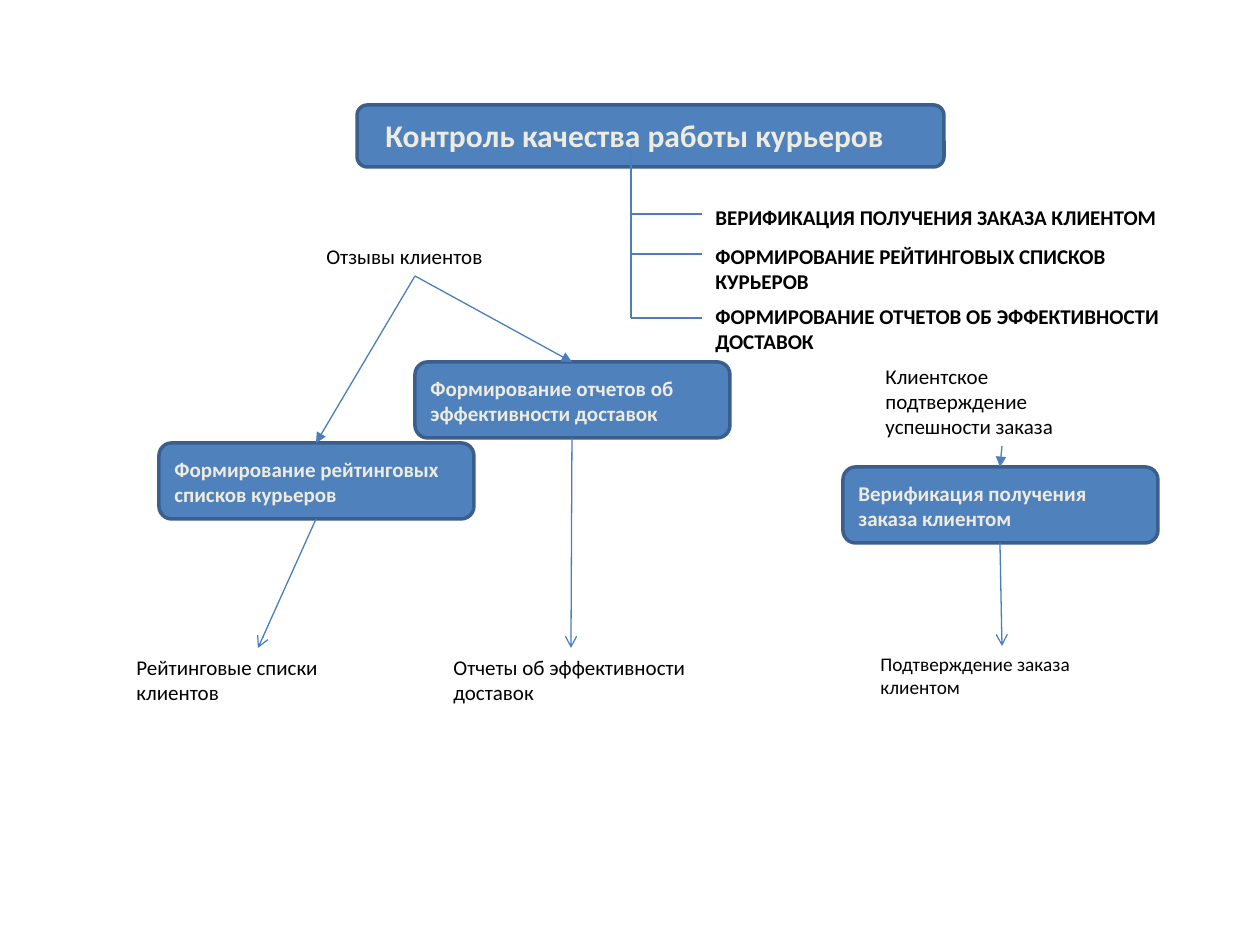
from lxml.etree import SubElement
from pptx import Presentation
from pptx.dml.color import RGBColor
from pptx.enum.shapes import MSO_CONNECTOR as CONN, MSO_SHAPE as SHAPE
from pptx.oxml.ns import qn
from pptx.util import Emu, Pt

SCALE = 914400 / 126
FILL, EDGE, LINE, LIGHT, DARK = "4F81BD", "3A5F8C", "4B7EBC", "EEECE1", "000000"


def px(*values):
    """Turn pixels into EMU."""
    return [Emu(round(v * SCALE)) for v in values]


def color(value):
    """Turn a hex string into a colour."""
    return RGBColor.from_string(value)


def add_label(s, box, text, size=12, bold=False, ink=DARK):
    """Place a wrapped line of text in a box."""
    tf = s.shapes.add_textbox(*px(*box)).text_frame
    tf.word_wrap = True
    r = tf.paragraphs[0].add_run()
    r.text = text
    for name, value in {"name": "Calibri", "size": Pt(size), "bold": bold}.items():
        setattr(r.font, name, value)
    r.font.color.rgb = color(ink)


def add_line(s, start, end, head=None):
    """Draw a thin line, with an arrowhead at its end if one is named."""
    line = s.shapes.add_connector(CONN.STRAIGHT, *px(*start, *end))
    line.line.color.rgb = color(LINE)
    line.line.width = Pt(0.75)
    if head:
        SubElement(line.line._get_or_add_ln(), qn("a:tailEnd"), type=head)
    SubElement(line._element.spPr, qn("a:effectLst"))


def add_panel(s, box):
    """Draw a blue rounded panel."""
    sp = s.shapes.add_shape(SHAPE.ROUNDED_RECTANGLE, *px(*box))
    sp.shadow.inherit = False
    sp.fill.solid()
    sp.fill.fore_color.rgb = color(FILL)
    sp.line.color.rgb = color(EDGE)
    sp.line.width = Pt(2)


def add_title(s, x, y, w, h, text):
    """Place the heading panel and its text."""
    add_panel(s, (x, y, w, h))
    add_label(s, (x + 16, y + 5, w - 16, 50), text, 18, True, LIGHT)


def add_goals(s, x, y, w, h, goals):
    """Place a trunk with one branch and caption for each goal."""
    add_line(s, (x, y), (x, y + h))
    for drop, rise, lines, text in goals:
        add_line(s, (x, y + drop), (x + 71, y + drop))
        add_label(s, (x + 72, y + drop - rise, w - 72, 13 + 25 * lines), text, 12, True)


def add_process(s, x, y, w, h, text, source, result, size, result_box):
    """Place a process panel with an arrow in and an arrow out to its result."""
    mid = x + w // 2
    rx, ry, rw, rh, tip = result_box
    add_panel(s, (x, y, w, h))
    add_label(s, (x + 3, y + 7, w - 3, 63), text, 12, True, LIGHT)
    add_line(s, source, (mid, y), "triangle")
    add_line(s, (mid, y + h), (x + tip, y + ry), "arrow")
    add_label(s, (x + rx, y + ry, rw, rh), result, size)


def build_scheme(s):
    """Place every part of the courier quality scheme."""
    reviews = (415, 276)
    add_title(s, 357, 105, 587, 62, "Контроль качества работы курьеров")
    add_label(s, (314, 237, 203, 38), "Отзывы клиентов")
    add_label(s, (873, 357, 258, 89), "Клиентское подтверждение успешности заказа")
    processes = [
        (159, 443, "Формирование рейтинговых списков курьеров", reviews,
         "Рейтинговые списки клиентов", 12, (-35, 205, 268, 63, 99)),
        (415, 362, "Формирование отчетов об эффективности доставок", reviews,
         "Отчеты об эффективности доставок", 12, (26, 286, 260, 63, 156)),
        (843, 467, "Верификация получения заказа клиентом", (1002, 446),
         "Подтверждение заказа клиентом", 11, (25, 179, 268, 59, 159)),
    ]
    for x, y, *parts in processes:
        add_process(s, x, y, 315, 76, *parts)
    add_goals(s, 631, 151, 577, 167, [
        (63, 16, 1, "ВЕРИФИКАЦИЯ ПОЛУЧЕНИЯ ЗАКАЗА КЛИЕНТОМ"),
        (103, 17, 2, "ФОРМИРОВАНИЕ РЕЙТИНГОВЫХ СПИСКОВ КУРЬЕРОВ"),
        (167, 21, 2, "ФОРМИРОВАНИЕ ОТЧЕТОВ ОБ ЭФФЕКТИВНОСТИ ДОСТАВОК"),
    ])


prs = Presentation()
prs.slide_width, prs.slide_height = px(1260, 945)
build_scheme(prs.slides.add_slide(prs.slide_layouts[6]))
prs.save("out.pptx")
